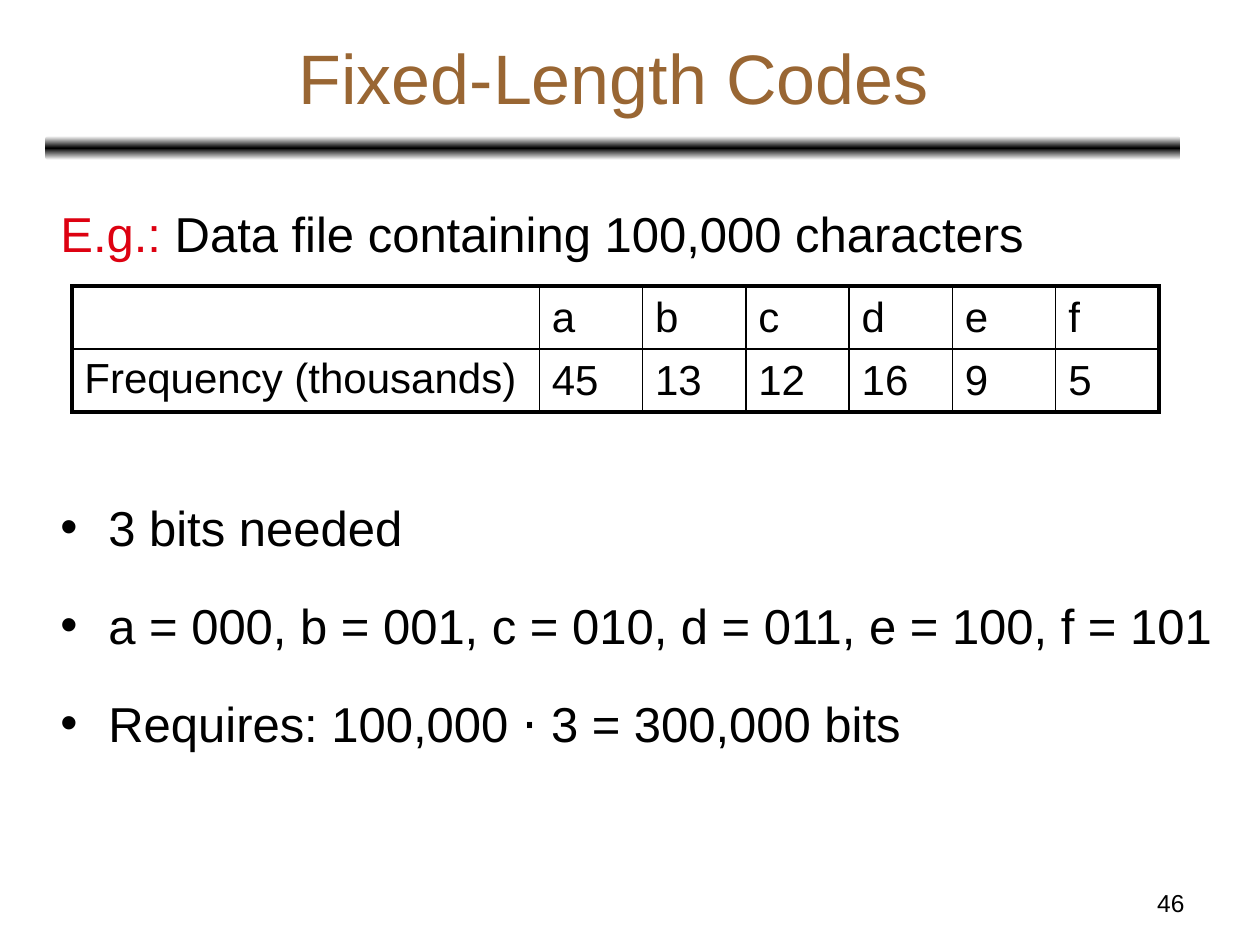
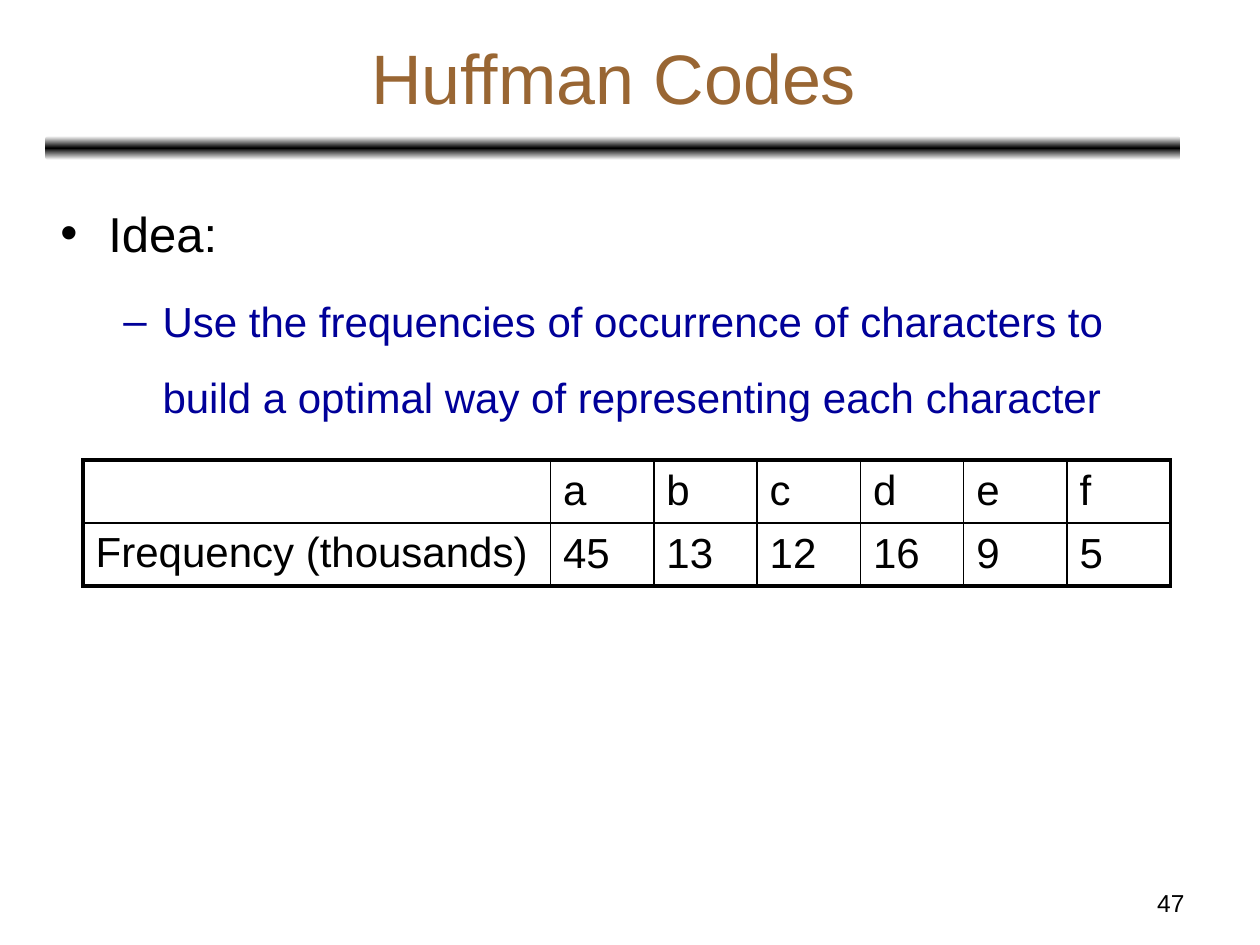
from lxml import etree
from pptx import Presentation
from pptx.dml.color import RGBColor
from pptx.enum.shapes import MSO_SHAPE
from pptx.enum.text import MSO_ANCHOR, MSO_AUTO_SIZE, PP_ALIGN
from pptx.oxml.ns import qn
from pptx.util import Inches, Pt

ROUNDED = MSO_SHAPE.ROUNDED_RECTANGLE
TOP, MIDDLE = MSO_ANCHOR.TOP, MSO_ANCHOR.MIDDLE
LEFT, CENTER, RIGHT = PP_ALIGN.LEFT, PP_ALIGN.CENTER, PP_ALIGN.RIGHT
NO_AUTOFIT = MSO_AUTO_SIZE.NONE

FONT = "Arial"
BLACK, WHITE = "000000", "FFFFFF"
BROWN, RED, NAVY = "996633", "DD0111", "000099"

# Per list level: text size, left margin, hanging indent, space before, bullet
LEVELS = [(28, 0.38, 0.38, 5.6, "•"), (24, 0.81, 0.31, 4.8, "–")]
TABLE_GAP = 117.6  # room left in the list for a table, in points

FREQUENCIES = [
    ["", "a", "b", "c", "d", "e", "f"],
    ["Frequency (thousands)", "45", "13", "12", "16", "9", "5"],
]
COLUMN_WIDTHS = [3.71] + [0.82] * 6
ROW_HEIGHT = 0.5
THICK, THIN = 2.25, 1


def color(hex_string):
    return RGBColor.from_string(hex_string)


def add_color(parent, hex_string):
    etree.SubElement(parent, qn("a:srgbClr"), val=hex_string)


class LectureDeck:
    def __init__(self):
        self.deck = Presentation()
        self.deck.slide_width = Inches(10)
        self.deck.slide_height = Inches(7.5)
        self.page = None

    def style(self, paragraph, size, hex_string=BLACK, align=LEFT):
        paragraph.alignment = align
        for span in paragraph.runs:
            span.font.name = FONT
            span.font.size = Pt(size)
            span.font.bold = False
            span.font.color.rgb = color(hex_string)

    def place(self, box, left, top, width, height):
        box.left, box.top = Inches(left), Inches(top)
        box.width, box.height = Inches(width), Inches(height)
        box.text_frame.word_wrap = True
        box.text_frame.auto_size = NO_AUTOFIT

    def new_page(self, title, number):
        self.page = self.deck.slides.add_slide(self.deck.slide_layouts[1])
        self.band()
        self.title(title)
        self.page_number(number)

    def band(self):
        band = self.page.shapes.add_shape(
            ROUNDED, Inches(0.36), Inches(1.08), Inches(9.01), Inches(0.19))
        band.shadow.inherit = False
        band.line.fill.background()
        band.fill.gradient()
        band.fill.gradient_angle = 90
        stops = band._element.spPr.find(".//" + qn("a:gsLst"))
        stops.clear()
        for percent, shade in [(0, WHITE), (50, BLACK), (100, WHITE)]:
            stop = etree.SubElement(stops, qn("a:gs"), pos=str(percent * 1000))
            add_color(stop, shade)

    def title(self, text):
        box = self.page.shapes.title
        self.place(box, 0.37, 0.11, 9, 0.99)
        box.text_frame.text = text
        box.text_frame.vertical_anchor = MIDDLE
        self.style(box.text_frame.paragraphs[0], 40, BROWN, CENTER)

    def page_number(self, number):
        box = self.page.shapes.add_textbox(0, 0, 0, 0)
        self.place(box, 7.17, 7, 2.33, 0.35)
        box.text_frame.text = str(number)
        self.style(box.text_frame.paragraphs[0], 14, align=RIGHT)

    def body(self, width, height):
        box = self.page.placeholders[1]
        self.place(box, 0.38, 1.33, width, height)
        box.text_frame.vertical_anchor = TOP
        return box.text_frame

    def list_item(self, frame, text, level=0, hex_string=BLACK,
                  bulleted=True, gap=0):
        size, margin, hanging, before, mark = LEVELS[level]
        first = not frame.paragraphs[0].runs
        paragraph = frame.paragraphs[0] if first else frame.add_paragraph()
        paragraph.text = text
        paragraph.level = level
        paragraph.line_spacing = 1.5
        paragraph.space_before = Pt(0 if first else before + gap)
        properties = paragraph._p.get_or_add_pPr()
        properties.set("marL", str(Inches(margin)))
        properties.set("indent", str(-Inches(hanging)))
        if bulleted:
            add_color(etree.SubElement(properties, qn("a:buClr")), hex_string)
            etree.SubElement(properties, qn("a:buFont"), typeface=FONT)
            etree.SubElement(properties, qn("a:buChar"), char=mark)
        else:
            etree.SubElement(properties, qn("a:buNone"))
        self.style(paragraph, size, hex_string)
        return paragraph

    def cell_borders(self, cell, widths):
        properties = cell._tc.get_or_add_tcPr()
        for side, width in zip("LRTB", widths):
            line = etree.SubElement(
                properties, qn("a:ln" + side), w=str(Pt(width)))
            add_color(etree.SubElement(line, qn("a:solidFill")), BLACK)

    def table(self, rows, left, top):
        last_row, last_column = len(rows) - 1, len(COLUMN_WIDTHS) - 1
        table = self.page.shapes.add_table(
            len(rows), len(COLUMN_WIDTHS), Inches(left), Inches(top),
            Inches(sum(COLUMN_WIDTHS)), Inches(ROW_HEIGHT * len(rows))).table
        table.first_row = table.horz_banding = False
        for column, width in zip(table.columns, COLUMN_WIDTHS):
            column.width = Inches(width)
        for r, values in enumerate(rows):
            table.rows[r].height = Inches(ROW_HEIGHT)
            for c, value in enumerate(values):
                cell = table.cell(r, c)
                cell.text_frame.text = value
                cell.vertical_anchor = MIDDLE if c else TOP
                self.style(cell.text_frame.paragraphs[0], 24)
                # Thick outer frame, thin inner grid
                outer = (c == 0, c == last_column, r == 0, r == last_row)
                self.cell_borders(cell, [THICK if o else THIN for o in outer])
                cell.fill.background()


def main():
    lecture = LectureDeck()

    # Fixed-length codes
    lecture.new_page("Fixed-Length Codes", 46)
    frame = lecture.body(9.48, 5.91)
    example = lecture.list_item(frame, "E.g.: ", hex_string=RED, bulleted=False)
    example.add_run().text = "Data file containing 100,000 characters"
    lecture.style(example, 28)
    example.runs[0].font.color.rgb = color(RED)
    lecture.list_item(frame, "3 bits needed", gap=TABLE_GAP - LEVELS[0][3])
    lecture.list_item(
        frame, "a = 000, b = 001, c = 010, d = 011, e = 100, f = 101")
    lecture.list_item(frame, "Requires: 100,000 ⋅ 3 = 300,000 bits")
    lecture.table(FREQUENCIES, 0.57, 2.27)

    # Huffman codes
    lecture.new_page("Huffman Codes", 47)
    frame = lecture.body(9, 5.55)
    lecture.list_item(frame, "Idea:")
    lecture.list_item(
        frame, "Use the frequencies of occurrence of characters to build a "
        "optimal way of representing each character", 1, NAVY)
    lecture.table(FREQUENCIES, 0.66, 3.65)

    lecture.deck.save("out.pptx")


if __name__ == "__main__":
    main()
